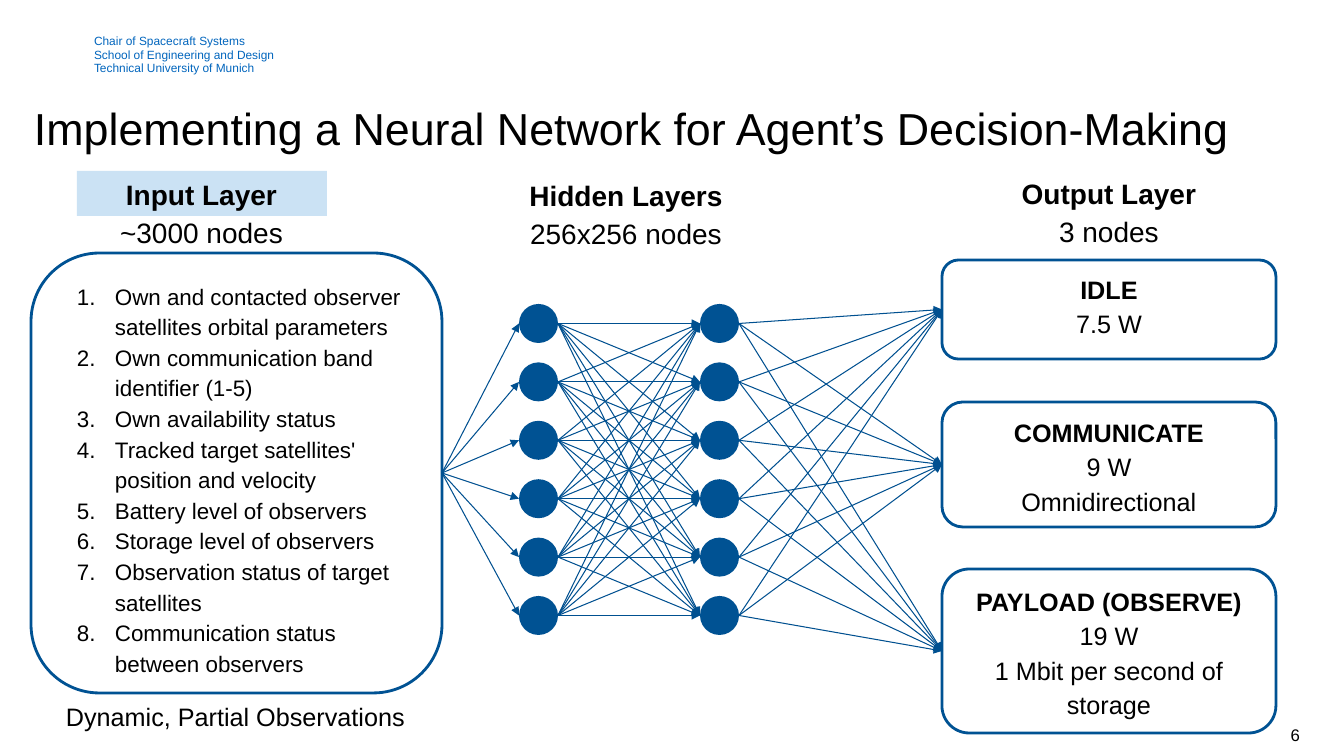
from itertools import product

from lxml.etree import SubElement
from pptx import Presentation
from pptx.dml.color import RGBColor
from pptx.enum.shapes import MSO_CONNECTOR, MSO_SHAPE
from pptx.enum.text import MSO_ANCHOR, PP_ALIGN
from pptx.oxml.ns import qn
from pptx.util import Emu, Pt

# Content
HEADER = ["Chair of Spacecraft Systems", "School of Engineering and Design",
          "Technical University of Munich"]
TITLE = "Implementing a Neural Network for Agent’s Decision-Making"
LAYER_HEADINGS = [  # lines, (left, top, width, height)
    (["Input Layer", "~3000 nodes"], (95, 173, 213, 75)),
    (["Hidden Layers", "256x256 nodes"], (512, 174, 228, 75)),
    (["Output Layer", "3 nodes"], (995, 172, 228, 75)),
]
INPUTS = [
    "Own and contacted observer satellites orbital parameters",
    "Own communication band identifier (1-5)",
    "Own availability status",
    "Tracked target satellites' position and velocity",
    "Battery level of observers",
    "Storage level of observers",
    "Observation status of target satellites",
    "Communication status between observers",
]
INPUT_NOTE = "Dynamic, Partial Observations"
OUTPUTS = [  # lines, top, height
    (["IDLE", "7.5 W"], 260, 99),
    (["COMMUNICATE", "9 W", "Omnidirectional"], 402, 125),
    (["PAYLOAD (OBSERVE)", "19 W", "1 Mbit per second of storage"], 569, 164),
]
PAGE_NUMBER = "6"

# Measures in px, colours
PX = 914400 / 100.8
NODE_COUNT, NODE_SIZE, FIRST_TOP, LAST_TOP = 6, 39, 304, 596
HIDDEN_LEFTS = (519, 700)
OUTPUT_LEFT, OUTPUT_WIDTH = 942, 334
INDENT = 38
LINE_SPACING = 1.14
BLUE, ARROW_BLUE, PALE_BLUE, HEADER_BLUE = "005293", "005090", "98C6EA", "0065BD"
WHITE, BLACK = "FFFFFF", "000000"


def px(length):
    return Emu(round(length * PX))


def colour(value):
    return RGBColor.from_string(value)


def write(shape, lines, size, spacing=LINE_SPACING, align=PP_ALIGN.LEFT,
          ink=BLACK, bold_first=False, numbered=False):
    frame = shape.text_frame
    frame.word_wrap = True
    for index, line in enumerate(lines):
        para = frame.paragraphs[0] if index == 0 else frame.add_paragraph()
        para.text = line
        para.alignment = align
        para.line_spacing = spacing
        if numbered:
            props = para._p.get_or_add_pPr()
            props.set("marL", str(px(INDENT)))
            props.set("indent", str(-px(INDENT)))
            SubElement(props, qn("a:buFont"), typeface="+mj-lt")
            SubElement(props, qn("a:buAutoNum"), type="arabicPeriod")
        para.font.name = "Arial"
        para.font.size = Pt(size)
        para.font.bold = bold_first and index == 0
        para.font.color.rgb = colour(ink)


def add_text(area, lines, size, inset=False, **style):
    box = page.shapes.add_textbox(*map(px, area))
    frame = box.text_frame
    if not inset:
        frame.margin_left = frame.margin_right = 0
        frame.margin_top = frame.margin_bottom = 0
    write(box, lines, size, **style)
    return box


def add_shape(kind, area, fill, line=None):
    shape = page.shapes.add_shape(kind, *map(px, area))
    shape.shadow.inherit = False
    shape.fill.solid()
    shape.fill.fore_color.rgb = colour(fill)
    if line:
        shape.line.color.rgb = colour(line)
        shape.line.width = Pt(2)
    else:
        shape.line.fill.background()
    shape.text_frame.vertical_anchor = MSO_ANCHOR.TOP
    return shape


def left_side(shape):
    return shape.left, shape.top + shape.height // 2


def right_side(shape):
    return shape.left + shape.width, shape.top + shape.height // 2


def add_arrow(source, target):
    arrow = page.shapes.add_connector(
        MSO_CONNECTOR.STRAIGHT, *right_side(source), *left_side(target))
    if source.auto_shape_type == MSO_SHAPE.ROUNDED_RECTANGLE:
        arrow.begin_connect(source, 3)
    if target.auto_shape_type == MSO_SHAPE.ROUNDED_RECTANGLE:
        arrow.end_connect(target, 1)
    arrow.line.color.rgb = colour(ARROW_BLUE)
    arrow.line.width = Pt(0.75)
    SubElement(arrow.line._get_or_add_ln(), qn("a:tailEnd"), type="triangle")
    SubElement(arrow._element.spPr, qn("a:effectLst"))


deck = Presentation()
deck.slide_width, deck.slide_height = px(1344), px(756)
page = deck.slides.add_slide(deck.slide_layouts[6])

# Header, title and page number
add_text((94, 35, 1174, 40), HEADER, 8.5, spacing=0.94, ink=HEADER_BLUE)
add_text((34, 110, 1300, 45), [TITLE], 32, spacing=Pt(32))
number = add_text((996, 715, 314, 40), [PAGE_NUMBER], 12, inset=True,
                  spacing=1.0, align=PP_ALIGN.RIGHT)
number.text_frame.vertical_anchor = MSO_ANCHOR.MIDDLE

# Half-transparent highlight behind the input heading
highlight = add_shape(MSO_SHAPE.RECTANGLE, (77, 171, 250, 45), PALE_BLUE)
tint = highlight.fill._xPr.find(qn("a:solidFill"))[0]
SubElement(tint, qn("a:alpha"), val="50000")

for lines, area in LAYER_HEADINGS:
    add_text(area, lines, 20, align=PP_ALIGN.CENTER, bold_first=True)

# Input layer
input_box = add_shape(MSO_SHAPE.ROUNDED_RECTANGLE, (31, 253, 411, 440), WHITE, BLUE)
add_text((77, 279, 332, 410), INPUTS, 16, numbered=True)
add_text((56, 692, 376, 42), [INPUT_NOTE], 18, inset=True)

# Hidden layers
pitch = (LAST_TOP - FIRST_TOP) / (NODE_COUNT - 1)
hidden_layers = [
    [add_shape(MSO_SHAPE.OVAL, (left, FIRST_TOP + row * pitch, NODE_SIZE, NODE_SIZE), BLUE)
     for row in range(NODE_COUNT)]
    for left in HIDDEN_LEFTS
]

# Output layer
output_boxes = []
for lines, top, height in OUTPUTS:
    box = add_shape(MSO_SHAPE.ROUNDED_RECTANGLE,
                    (OUTPUT_LEFT, top, OUTPUT_WIDTH, height), WHITE, BLUE)
    write(box, lines, 18, align=PP_ALIGN.CENTER, bold_first=True)
    output_boxes.append(box)

# Every part of a layer feeds every part of the next
layers = [[input_box], *hidden_layers, output_boxes]
for sources, targets in zip(layers, layers[1:]):
    for source, target in product(sources, targets):
        add_arrow(source, target)

deck.save("out.pptx")
